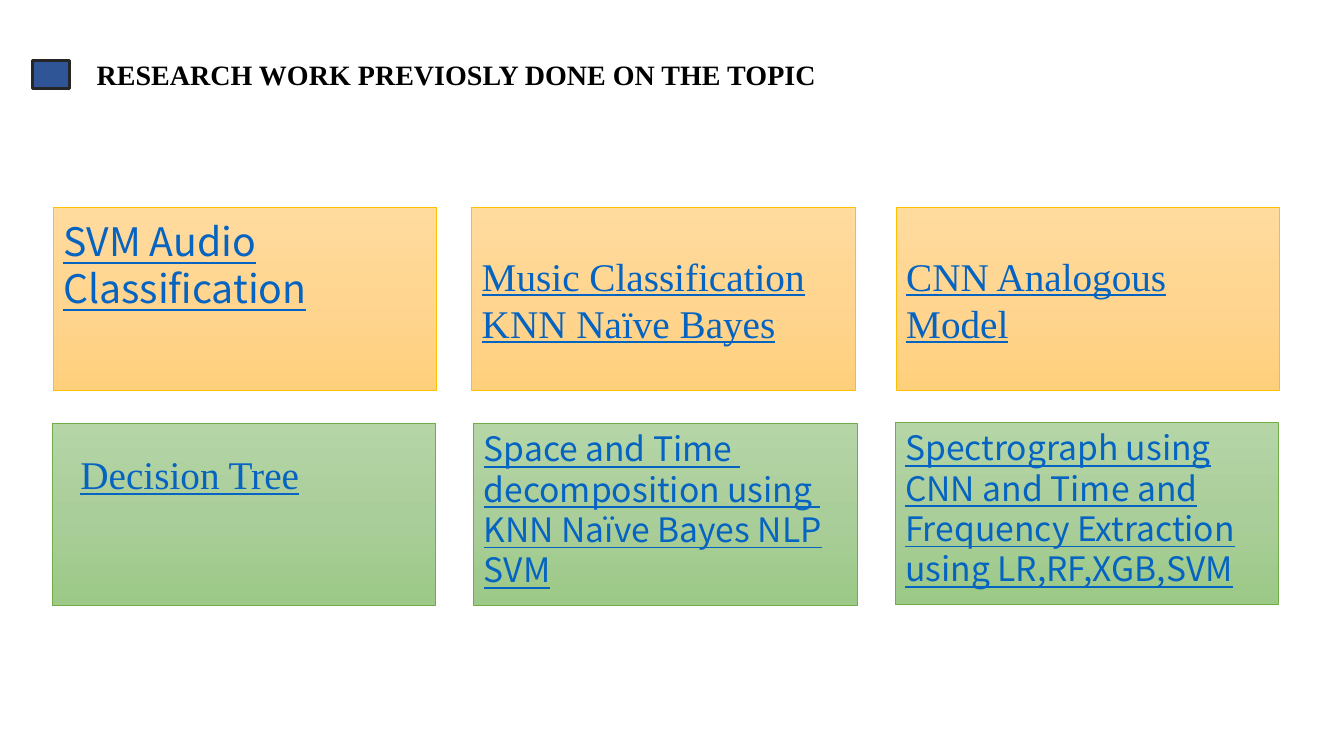
from copy import deepcopy

from pptx import Presentation
from pptx.dml.color import RGBColor
from pptx.enum.shapes import MSO_SHAPE as SHAPE
from pptx.enum.text import MSO_ANCHOR as ANCHOR, MSO_AUTO_SIZE as AUTO, PP_ALIGN as ALIGN
from pptx.util import Inches, Pt

SERIF, SANS_KR, SANS_SC = "Times New Roman", "Noto Sans CJK KR", "Noto Sans CJK SC"
LINK = "0563C1"
CARD_W, CARD_H = 3.8, 1.81
ORANGE = (["FFDB9E", "FFD590", "FFD07C"], "FFC000")
GREEN = (["B5D5A7", "AACE9A", "9CC987"], "70AD47")


def rgb(value):
    return RGBColor.from_string(value)


def write(tf, paragraphs, font, size, color=LINK, bold=False):
    """Fill the frame; text in the link colour is underlined."""
    tf.text = "\n".join(paragraphs)
    for p in tf.paragraphs:
        p.alignment = ALIGN.LEFT
        for r in p.runs:
            r.font.name, r.font.size = font, Pt(size)
            r.font.bold, r.font.underline = bold, color == LINK
            r.font.color.rgb = rgb(color)


def add_box(s, left, top, width, height, line, line_width):
    sp = s.shapes.add_shape(SHAPE.RECTANGLE, Inches(left), Inches(top),
                            Inches(width), Inches(height))
    sp.shadow.inherit = False
    sp.line.color.rgb = rgb(line)
    sp.line.width = Pt(line_width)
    return sp


def shade(fill, colors):
    """Apply a top-to-bottom gradient of three evenly spaced colours."""
    fill.gradient()
    fill.gradient_angle = 270
    first = fill._fill._gradFill.gsLst[0]
    first.addnext(deepcopy(first))
    for i, (stop, color) in enumerate(zip(fill.gradient_stops, colors)):
        stop.position = i / 2
        stop.color.rgb = rgb(color)


def add_card(s, left, top, palette):
    colors, line = palette
    sp = add_box(s, left, top, CARD_W, CARD_H, line, 0.5)
    shade(sp.fill, colors)
    return sp


def add_text(s, left, top, width, height, paragraphs, font, size, wrap=True, **style):
    tf = s.shapes.add_textbox(Inches(left), Inches(top),
                              Inches(width), Inches(height)).text_frame
    tf.word_wrap = wrap
    tf.auto_size = AUTO.SHAPE_TO_FIT_TEXT
    write(tf, paragraphs, font, size, **style)


def main():
    prs = Presentation()
    prs.slide_width, prs.slide_height = Inches(13.33), Inches(7.5)
    s = prs.slides.add_slide(prs.slide_layouts[6])

    marker = add_box(s, 0.32, 0.6, 0.37, 0.28, "262626", 2.25)
    marker.fill.solid()
    marker.fill.fore_color.rgb = rgb("2F5597")
    add_text(s, 0.86, 0.52, 7.39, 0.44, ["RESEARCH WORK PREVIOSLY DONE ON THE TOPIC"],
             SERIF, 20, wrap=False, color="000000", bold=True)

    add_card(s, 0.53, 2.06, ORANGE)
    for left, title in [(4.68, "Music Classification KNN Naïve Bayes"),
                        (8.89, "CNN Analogous Model")]:
        tf = add_card(s, left, 2.06, ORANGE).text_frame
        tf.vertical_anchor = ANCHOR.MIDDLE
        write(tf, [title], SERIF, 28)
    for left, top in [(0.52, 4.2), (4.7, 4.2), (8.88, 4.19)]:
        add_card(s, left, top, GREEN)

    add_text(s, 0.53, 2.11, 3.28, 1.51, ["SVM Audio Classification"], SANS_KR, 28)
    add_text(s, 0.7, 4.42, 3.24, 0.57, ["Decision Tree"], SERIF, 28)
    add_text(s, 4.7, 4.2, CARD_W, 1.72,
             ["Space and Time ", "decomposition using ", "KNN Naïve Bayes NLP SVM"],
             SANS_SC, 24)
    add_text(s, 8.88, 4.19, CARD_W, 1.72,
             ["Spectrograph using CNN and Time and Frequency Extraction "
              "using LR,RF,XGB,SVM"], SANS_SC, 24)
    prs.save("out.pptx")


if __name__ == "__main__":
    main()
